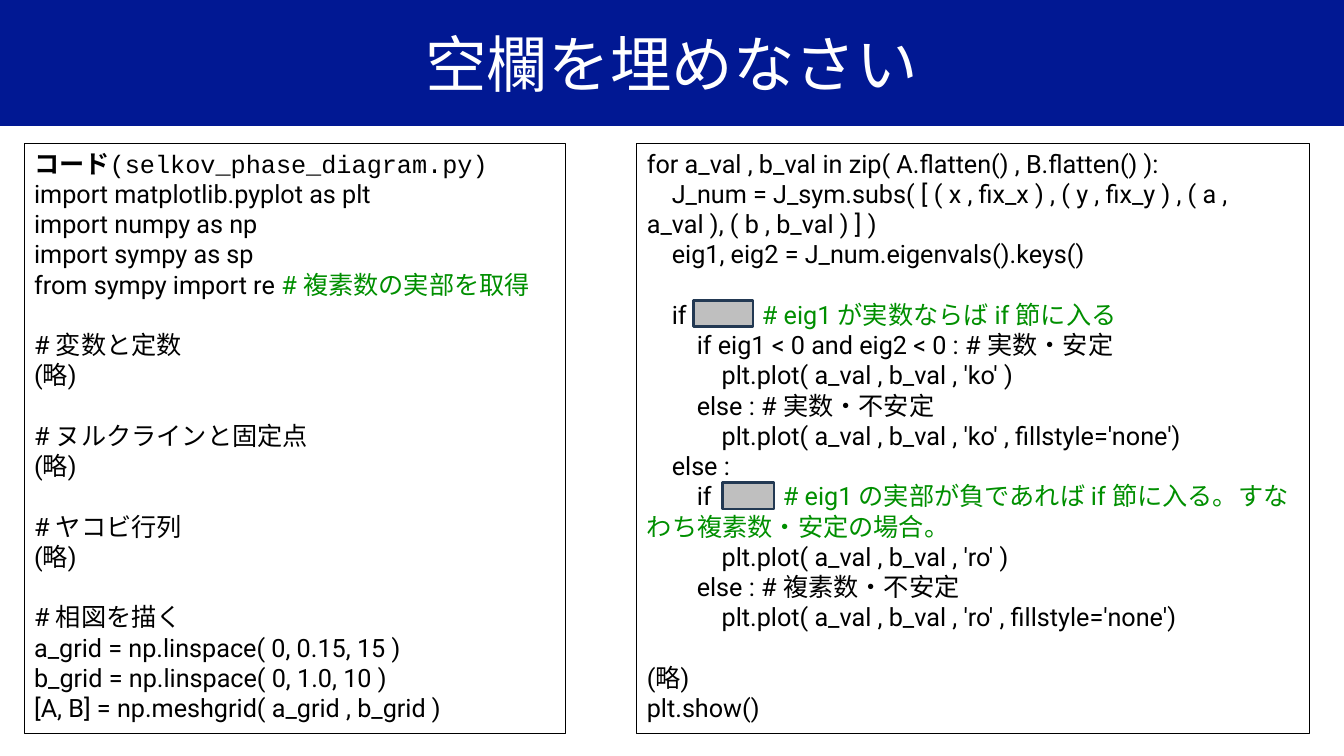
from lxml import etree
from pptx import Presentation
from pptx.dml.color import RGBColor
from pptx.enum.shapes import MSO_SHAPE
from pptx.enum.text import MSO_ANCHOR, PP_ALIGN
from pptx.oxml.ns import qn
from pptx.util import Pt

RECT = MSO_SHAPE.RECTANGLE
TOP, MIDDLE = MSO_ANCHOR.TOP, MSO_ANCHOR.MIDDLE
LEFT, CENTER = PP_ALIGN.LEFT, PP_ALIGN.CENTER

# Content: GAP leaves one line free; a run is text, colour, font, bold
SANS, MONO, CJK = "Roboto", "Courier New", "Noto Sans CJK JP"
BLACK, GREEN, WHITE = "000000", "008F00", "FFFFFF"
NAVY, GREY, SLATE = "011893", "BFBFBF", "233953"
GAP = None
TITLE = "空欄を埋めなさい"
SETUP = [
    [("コード", BLACK, CJK, True), ("(selkov_phase_diagram.py)", BLACK, MONO)],
    "import matplotlib.pyplot as plt",
    "import numpy as np",
    "import sympy as sp",
    [("from sympy import re ",), ("# 複素数の実部を取得", GREEN)],
    GAP,
    "# 変数と定数",
    "(略)",
    GAP,
    "# ヌルクラインと固定点",
    "(略)",
    GAP,
    "# ヤコビ行列",
    "(略)",
    GAP,
    "# 相図を描く",
    "a_grid = np.linspace( 0, 0.15, 15 )",
    "b_grid = np.linspace( 0, 1.0, 10 )",
    "[A, B] = np.meshgrid( a_grid , b_grid )",
]
LOOP = [
    "for a_val , b_val in zip( A.flatten() , B.flatten() ):",
    "    J_num = J_sym.subs( [ ( x , fix_x ) , ( y , fix_y ) , ( a , a_val ), ( b , b_val ) ] )",
    "    eig1, eig2 = J_num.eigenvals().keys()",
    GAP,
    [("    if\t",), ("# eig1 が実数ならば if 節に入る", GREEN)],
    "        if eig1 < 0 and eig2 < 0 : # 実数・安定",
    "            plt.plot( a_val , b_val , 'ko' )",
    "        else : # 実数・不安定",
    "            plt.plot( a_val , b_val , 'ko' , fillstyle='none')",
    "    else :",
    [("        if\t",),
     ("# eig1 の実部が負であれば if 節に入る。すなわち複素数・安定の場合。", GREEN)],
    "            plt.plot( a_val , b_val , 'ro' )",
    "        else : # 複素数・不安定",
    "            plt.plot( a_val , b_val , 'ro' , fillstyle='none')",
    GAP,
    "(略)",
    "plt.show()",
]

# Measures in points
WIDE, HIGH = 960, 540
HEAD = 90
BOX_TOP, BOX_HIGH = 102.2, 421.9
PANES = [(17.3, 386.6, SETUP), (455, 480.2, LOOP)]
BLANKS = [(516.2, 344.9, 36.7), (495.4, 214.6, 42.5)]
BLANK_HIGH = 18.7
PAD, SIZE, LINE = 7.2, 18, 21.6
COMMENT_GAP = 6.5

deck = Presentation()
deck.slide_width, deck.slide_height = Pt(WIDE), Pt(HIGH)
slide = deck.slides.add_slide(deck.slide_layouts[6])


def tint(hue):
    return RGBColor.from_string(hue)


def box(x, y, w, h, fill=None, edge=None, thick=0.75):
    shape = slide.shapes.add_shape(RECT, Pt(x), Pt(y), Pt(w), Pt(h))
    shape.shadow.inherit = False
    if fill:
        shape.fill.solid()
        shape.fill.fore_color.rgb = tint(fill)
    else:
        shape.fill.background()
    if edge:
        shape.line.color.rgb = tint(edge)
        shape.line.width = Pt(thick)
    else:
        shape.line.fill.background()
    return shape


def write(para, text, hue=BLACK, face=SANS, bold=False, size=SIZE):
    run = para.add_run()
    run.text = text
    font = run.font
    font.size, font.name, font.bold = Pt(size), face, bold
    font.color.rgb = tint(hue)
    east = etree.SubElement(run._r.get_or_add_rPr(), qn("a:ea"))
    east.set("typeface", CJK)


def add_tabs(para, stops):
    tabs = etree.SubElement(para._p.get_or_add_pPr(), qn("a:tabLst"))
    for stop in stops:
        etree.SubElement(tabs, qn("a:tab"), pos=str(Pt(stop)), algn="l")


def fill_code(shape, lines, left):
    frame = shape.text_frame
    frame.word_wrap, frame.vertical_anchor = True, TOP
    para, space = frame.paragraphs[0], 0
    for i, line in enumerate(lines):
        if line is GAP:
            space = LINE
            continue
        if i:
            para = frame.add_paragraph()
        runs = [(line,)] if isinstance(line, str) else line
        if "\t" in runs[0][0]:
            # The comment starts just past the blank on this row
            row_y = BOX_TOP + i * LINE
            x, _, w = min(BLANKS, key=lambda b: abs(b[1] - row_y))
            add_tabs(para, [x + w + COMMENT_GAP - left - PAD])
        para.alignment, para.line_spacing = LEFT, Pt(LINE)
        if space:
            para.space_before = Pt(space)
        space = 0
        for run in runs:
            write(para, *run)


# Title band
band = box(0, 0, WIDE, HEAD, NAVY)
frame = band.text_frame
frame.vertical_anchor = MIDDLE
frame.margin_left = frame.margin_right = Pt(0)
frame.margin_top = frame.margin_bottom = Pt(0)
frame.paragraphs[0].alignment = CENTER
write(frame.paragraphs[0], TITLE, WHITE, size=44)

# Code panes
for x, w, lines in PANES:
    fill_code(box(x, BOX_TOP, w, BOX_HIGH, edge=BLACK), lines, x)

# Blanks to fill in
for x, y, w in BLANKS:
    box(x, y, w, BLANK_HIGH, GREY, SLATE, 2)

deck.save("out.pptx")
